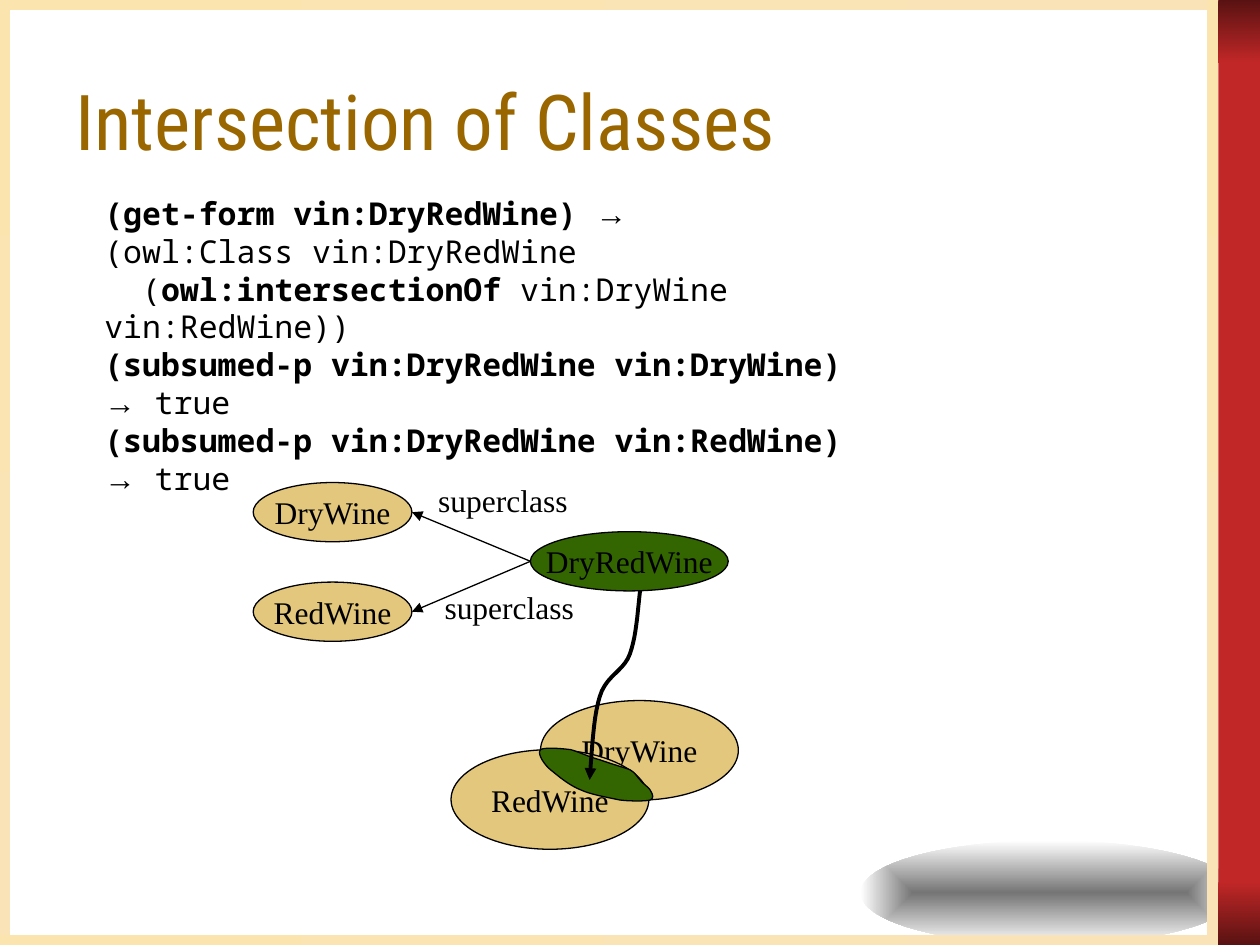
"""Build the slide on intersection of classes."""
from dataclasses import dataclass
from typing import NamedTuple, Optional

from lxml.etree import SubElement
from pptx import Presentation
from pptx.dml.color import RGBColor
from pptx.enum.shapes import MSO_CONNECTOR, MSO_SHAPE
from pptx.enum.text import MSO_ANCHOR, PP_ALIGN
from pptx.oxml.ns import qn
from pptx.util import Inches, Pt


@dataclass(frozen=True)
class Theme:
    ink: str = "000000"
    gold: str = "996600"
    tan: str = "E2C77C"
    green: str = "336600"
    red: str = "C12727"
    dark: str = "591212"
    cream: str = "FBE4AE"
    pale: str = "FAE3B7"
    grey: str = "757575"
    white: str = "FFFFFF"
    head: str = "Roboto Condensed"
    mono: str = "Noto Sans Mono"
    sign: str = "Arial"
    serif: str = "Times New Roman"
    big: int = 44
    body: int = 18
    thin: float = 0.75
    thick: float = 2.25


class Box(NamedTuple):
    x: float
    y: float
    w: float
    h: float


class Bar(NamedTuple):
    box: Box
    start: str
    end: str
    angle: int = 270


class Node(NamedTuple):
    name: str
    box: Box
    color: str


class Run(NamedTuple):
    text: str
    font: str
    bold: bool = False
    size: int = 18
    color: str = "000000"


T = Theme()
ARROW = Run("→", T.sign)
TRUE = Run(" true", T.mono)

SIDE, EDGE, RIM = 9.67, 9.58, 0.08
BARS = [
    Bar(Box(EDGE, 0, 0.09, 7.5), T.cream, T.pale),
    Bar(Box(SIDE, 0, 0.33, 7.5), T.red, T.red),
    Bar(Box(SIDE, 0, 0.33, 0.5), T.dark, T.red),
    Bar(Box(SIDE, 7, 0.33, 0.5), T.red, T.dark),
    Bar(Box(0, 0, RIM, 7.5), T.cream, T.pale),
    Bar(Box(0, 0, EDGE, RIM), T.pale, T.cream, 180),
    Bar(Box(0, 7.5 - RIM, EDGE, RIM), T.pale, T.cream, 180),
]

CODE = [
    [Run("(get-form vin:DryRedWine) ", T.mono, True), ARROW],
    [Run("(owl:Class vin:DryRedWine", T.mono)],
    [Run("  (", T.mono), Run("owl:intersectionOf", T.mono, True),
     Run(" vin:DryWine vin:RedWine))", T.mono)],
    *[[Run(f"(subsumed-p vin:DryRedWine vin:{name}) ", T.mono, True), ARROW, TRUE]
      for name in ("DryWine", "RedWine")],
]

PARENTS = [Node(name, Box(2.01, y, 1.26, 0.47), T.tan)
           for name, y in (("DryWine", 3.83), ("RedWine", 4.62))]
CHILD = Node("DryRedWine", Box(4.21, 4.22, 1.57, 0.47), T.green)
SETS = [Node("DryWine", Box(4.29, 5.56, 1.57, 0.79), T.tan),
        Node("RedWine", Box(3.58, 5.95, 1.57, 0.79), T.tan)]
LABELS = [Box(3.38, 3.77, 1.23, 0.4), Box(3.43, 4.62, 1.23, 0.4)]

LENS = [
    (4.29, 5.95), (4.32, 5.93), (4.45, 5.94), (4.53, 5.95), (4.6, 5.97),
    (4.68, 6.01), (4.76, 6.03), (4.84, 6.06), (4.95, 6.09), (5, 6.11),
    (5.05, 6.14), (5.05, 6.16), (5.08, 6.19), (5.1, 6.22), (5.14, 6.24),
    (5.16, 6.27), (5.17, 6.29), (5.2, 6.33), (5.16, 6.35), (5.12, 6.36),
    (5.01, 6.36), (4.92, 6.35), (4.83, 6.33), (4.7, 6.31), (4.61, 6.27),
    (4.51, 6.23), (4.42, 6.15), (4.37, 6.11), (4.32, 6.07), (4.26, 5.98),
    (4.29, 5.95),
]
TRAIL = [
    (5.08, 4.69), (5.06, 4.87), (5.05, 5.05), (5, 5.19), (4.95, 5.33),
    (4.81, 5.36), (4.76, 5.53), (4.71, 5.69), (4.7, 5.94), (4.68, 6.19),
]


def rgb(color: str) -> RGBColor:
    return RGBColor.from_string(color)


def place(box: Box) -> list:
    return [Inches(v) for v in box]


def write(frame, lines: list, align=PP_ALIGN.LEFT, anchor=MSO_ANCHOR.TOP,
          wrap: bool = False) -> None:
    frame.word_wrap = wrap
    frame.vertical_anchor = anchor
    for i, line in enumerate(lines):
        para = frame.add_paragraph() if i else frame.paragraphs[0]
        para.alignment = align
        for item in line:
            run = para.add_run()
            run.text = item.text
            font = run.font
            font.name, font.size, font.bold = item.font, Pt(item.size), item.bold
            font.color.rgb = rgb(item.color)


def stroke(shape, width: float, head: bool = False) -> None:
    shape.line.color.rgb = rgb(T.ink)
    shape.line.width = Pt(width)
    if head:
        line = shape.element.spPr.find(qn("a:ln"))
        SubElement(line, qn("a:tailEnd"), type="triangle")


def blend(shape, start: str, end: str, angle: int = 270) -> None:
    shape.shadow.inherit = False
    shape.line.fill.background()
    shape.fill.gradient()
    shape.fill.gradient_angle = angle
    for stop, color in zip(shape.fill.gradient_stops, (start, end)):
        stop.color.rgb = rgb(color)


def glow(shapes, box: Box) -> None:
    shape = shapes.add_shape(MSO_SHAPE.OVAL, *place(box))
    blend(shape, T.grey, T.white)
    grad = shape.element.spPr.find(qn("a:gradFill"))
    grad.remove(grad.find(qn("a:lin")))
    core = SubElement(grad, qn("a:path"), path="rect")
    SubElement(core, qn("a:fillToRect"), l="50000", t="50000", r="50000", b="50000")


def oval(shapes, node: Node) -> None:
    shape = shapes.add_shape(MSO_SHAPE.OVAL, *place(node.box))
    shape.shadow.inherit = False
    shape.fill.solid()
    shape.fill.fore_color.rgb = rgb(node.color)
    stroke(shape, T.thin)
    write(shape.text_frame, [[Run(node.name, T.serif)]],
          PP_ALIGN.CENTER, MSO_ANCHOR.MIDDLE)


def link(shapes, child: Box, base: Box) -> None:
    ends = (child.x, child.y + child.h / 2, base.x + base.w, base.y + base.h / 2)
    line = shapes.add_connector(MSO_CONNECTOR.STRAIGHT, *[Inches(v) for v in ends])
    stroke(line, T.thin, True)
    SubElement(line.element.spPr, qn("a:effectLst"))


def bend(knots: list, steps: int = 10) -> list:
    dots = [knots[0]]
    for i in range(0, len(knots) - 1, 3):
        for k in range(1, steps + 1):
            t = k / steps
            u = 1 - t
            mix = (u ** 3, 3 * u * u * t, 3 * u * t * t, t ** 3)
            dots.append(tuple(sum(m * p[a] for m, p in zip(mix, knots[i:i + 4]))
                              for a in (0, 1)))
    return dots


def curve(shapes, knots: list, width: float, color: Optional[str] = None) -> None:
    dots = [(Inches(x), Inches(y)) for x, y in bend(knots)]
    path = shapes.build_freeform(*dots[0])
    path.add_line_segments(dots[1:], close=color is not None)
    shape = path.convert_to_shape()
    shape.shadow.inherit = False
    if color:
        shape.fill.solid()
        shape.fill.fore_color.rgb = rgb(color)
    else:
        shape.fill.background()
    stroke(shape, width, color is None)


def main() -> None:
    deck = Presentation()
    deck.slide_width, deck.slide_height = Inches(10), Inches(7.5)
    shapes = deck.slides.add_slide(deck.slide_layouts[6]).shapes
    glow(shapes, Box(6.83, 6.67, 3, 0.83))
    for bar in BARS:
        blend(shapes.add_shape(MSO_SHAPE.RECTANGLE, *place(bar.box)), *bar[1:])
    title = shapes.add_textbox(*place(Box(0.5, 0.31, 9, 1.28)))
    write(title.text_frame,
          [[Run("Intersection of Classes", T.head, size=T.big, color=T.gold)]],
          anchor=MSO_ANCHOR.MIDDLE, wrap=True)
    code = shapes.add_textbox(*place(Box(0.73, 1.49, 6.07, 1.9)))
    write(code.text_frame, CODE, wrap=True)
    for node in (*PARENTS, CHILD):
        oval(shapes, node)
    for node, label in zip(PARENTS, LABELS):
        link(shapes, CHILD.box, node.box)
        write(shapes.add_textbox(*place(label)).text_frame,
              [[Run("superclass", T.serif)]])
    for node in SETS:
        oval(shapes, node)
    curve(shapes, LENS, T.thin, T.green)
    curve(shapes, TRAIL, T.thick)
    deck.save("out.pptx")


if __name__ == "__main__":
    main()
